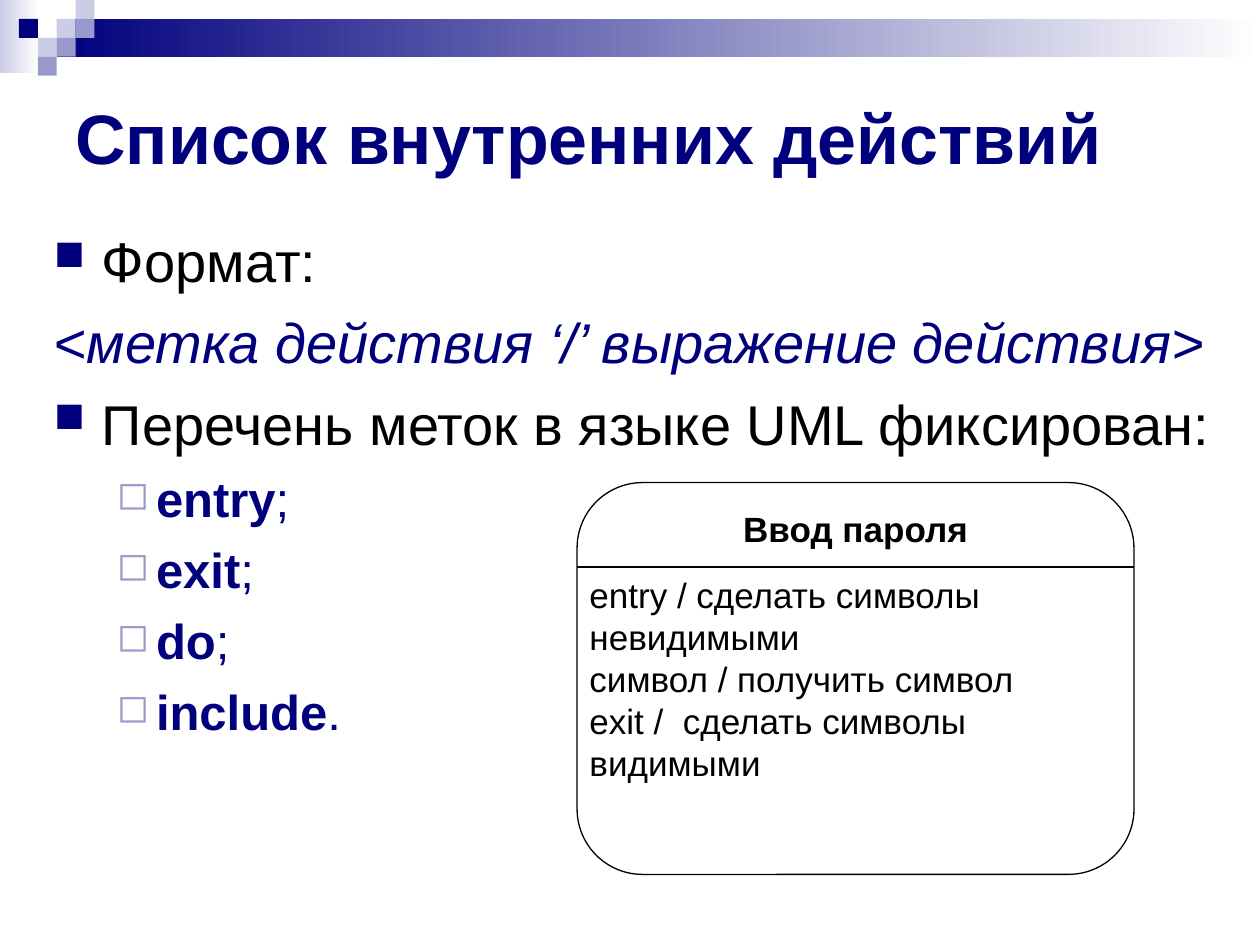
from lxml import etree
from pptx import Presentation
from pptx.dml.color import RGBColor
from pptx.enum.shapes import MSO_CONNECTOR, MSO_SHAPE
from pptx.enum.text import MSO_ANCHOR, PP_ALIGN
from pptx.oxml.ns import qn
from pptx.util import Inches, Pt

RECTANGLE = MSO_SHAPE.RECTANGLE
ROUNDED = MSO_SHAPE.ROUNDED_RECTANGLE
STRAIGHT = MSO_CONNECTOR.STRAIGHT
TOP, MIDDLE = MSO_ANCHOR.TOP, MSO_ANCHOR.MIDDLE
LEFT, CENTER = PP_ALIGN.LEFT, PP_ALIGN.CENTER

NAVY, LAVENDER, PALE = "00007D", "9999CC", "CCCCE6"
BLACK, WHITE = "000000", "FFFFFF"

# Outline levels: bullet, its colour and size, left margin, hanging indent
LEVELS = [
    {"char": "■", "color": NAVY, "percent": 75, "margin": 0.38, "hang": 0.38},
    {"char": "◻", "color": LAVENDER, "percent": 80, "margin": 0.81, "hang": 0.31},
]
TERM = {"size": Pt(32)}
FORMULA = {"size": Pt(32), "italic": True, "color": NAVY}
LABEL = {"size": Pt(28), "bold": True, "color": NAVY}
MARK = {"size": Pt(28), "color": NAVY}
STATE_NAME = {"size": Pt(20), "bold": True}
ACTION = {"size": Pt(20)}

# Outline rows: level, bulleted, space before, runs
OUTLINE = [
    (0, True, 0, [("Формат:", TERM)]),
    (0, False, 8, [("<метка действия ‘/’ выражение действия>", FORMULA)]),
    (0, True, 8, [("Перечень меток в языке UML фиксирован:", TERM)]),
] + [
    (1, True, 7, [(label, LABEL), (mark, MARK)])
    for label, mark in [("entry", ";"), ("exit", ";"), ("do", ";"), ("include", ".")]
]
ACTIONS = [
    "entry / сделать символы невидимыми",
    "символ / получить символ",
    "exit /  сделать символы видимыми",
]


def rgb(value):
    return RGBColor.from_string(value)


def add_run(paragraph, text, style):
    run = paragraph.add_run()
    run.text = text
    values = {"name": "Arial", "bold": False, "italic": False, "color": BLACK, **style}
    run.font.color.rgb = rgb(values.pop("color"))
    for key, value in values.items():
        setattr(run.font, key, value)


def prepare_frame(shape, anchor=TOP):
    frame = shape.text_frame
    values = {
        "word_wrap": True, "vertical_anchor": anchor,
        "margin_left": Inches(0.1), "margin_right": Inches(0.1),
        "margin_top": Inches(0.05), "margin_bottom": Inches(0.05),
    }
    for key, value in values.items():
        setattr(frame, key, value)
    return frame


def add_text_box(slide, box, anchor=TOP):
    return prepare_frame(slide.shapes.add_textbox(*map(Inches, box)), anchor)


def next_paragraph(frame, index):
    return frame.add_paragraph() if index else frame.paragraphs[0]


def set_bullet(paragraph, level, bulleted):
    props = paragraph._p.get_or_add_pPr()
    props.set("marL", str(Inches(level["margin"])))
    props.set("indent", str(-Inches(level["hang"])))
    if not bulleted:
        etree.SubElement(props, qn("a:buNone"))
        return
    color = etree.SubElement(props, qn("a:buClr"))
    etree.SubElement(color, qn("a:srgbClr"), val=level["color"])
    etree.SubElement(props, qn("a:buSzPct"), val=str(level["percent"] * 1000))
    etree.SubElement(props, qn("a:buChar"), char=level["char"])


def add_block(slide, box, *colors):
    """Borderless rectangle: one colour is solid, two make a gradient."""
    block = slide.shapes.add_shape(RECTANGLE, *map(Inches, box))
    block.shadow.inherit = False
    block.line.fill.background()
    if len(colors) == 1:
        block.fill.solid()
        block.fill.fore_color.rgb = rgb(colors[0])
        return
    block.fill.gradient()
    block.fill.gradient_angle = 0
    for stop, color in zip(block.fill.gradient_stops, colors):
        stop.color.rgb = rgb(color)


def add_header_band(slide, box):
    left, top, width, height = box
    cell = height / 4
    add_block(slide, (left, top, 0.31, 0.58), PALE, WHITE)
    add_block(slide, (left + 3 * cell, top + cell, width - 3 * cell, 2 * cell), NAVY, WHITE)
    # Mosaic squares as column, row, colour
    for column, row, color in [
        (3, 1, PALE), (4, 0, PALE), (4, 1, LAVENDER), (2, 2, PALE),
        (1, 1, NAVY), (3, 2, LAVENDER), (2, 3, LAVENDER),
    ]:
        add_block(slide, (left + column * cell, top + row * cell, cell, cell), color)


def add_title(slide, box):
    frame = add_text_box(slide, box, MIDDLE)
    add_run(frame.paragraphs[0], "Список внутренних действий",
            {"size": Pt(40), "bold": True, "color": NAVY})


def add_outline(slide, box):
    frame = add_text_box(slide, box)
    for index, (level, bulleted, space, runs) in enumerate(OUTLINE):
        paragraph = next_paragraph(frame, index)
        set_bullet(paragraph, LEVELS[level], bulleted)
        paragraph.level = level
        paragraph.space_before = Pt(space)
        for text, style in runs:
            add_run(paragraph, text, style)


def add_state(slide, box):
    left, top, width, height = box
    divider_top = top + 0.67

    # State outline with its name
    state = slide.shapes.add_shape(ROUNDED, *map(Inches, box))
    state.adjustments[0] = 0.167
    state.shadow.inherit = False
    state.fill.solid()
    state.fill.fore_color.rgb = rgb(WHITE)
    name = prepare_frame(state).paragraphs[0]
    name.alignment = CENTER
    add_run(name, "Ввод пароля", STATE_NAME)

    # Divider under the name
    divider = slide.shapes.add_connector(
        STRAIGHT, *map(Inches, (left, divider_top, left + width, divider_top)))
    etree.SubElement(divider._element.spPr, qn("a:effectLst"))
    for part in (state, divider):
        part.line.color.rgb = rgb(BLACK)
        part.line.width = Pt(0.75)

    # Internal actions
    frame = add_text_box(slide, (left, divider_top, width, 2.67))
    for index, action in enumerate(ACTIONS):
        paragraph = next_paragraph(frame, index)
        paragraph.alignment = LEFT
        add_run(paragraph, action, ACTION)


def main():
    deck = Presentation()
    deck.slide_width, deck.slide_height = Inches(10), Inches(7.5)
    slide = deck.slides.add_slide(deck.slide_layouts[6])
    add_header_band(slide, (0, 0, 10, 0.6))
    add_title(slide, (0.5, 0.5, 9, 1.17))
    add_outline(slide, (0.33, 1.75, 9.42, 4.95))
    add_state(slide, (4.58, 3.83, 4.42, 3.11))
    deck.save("out.pptx")


if __name__ == "__main__":
    main()
